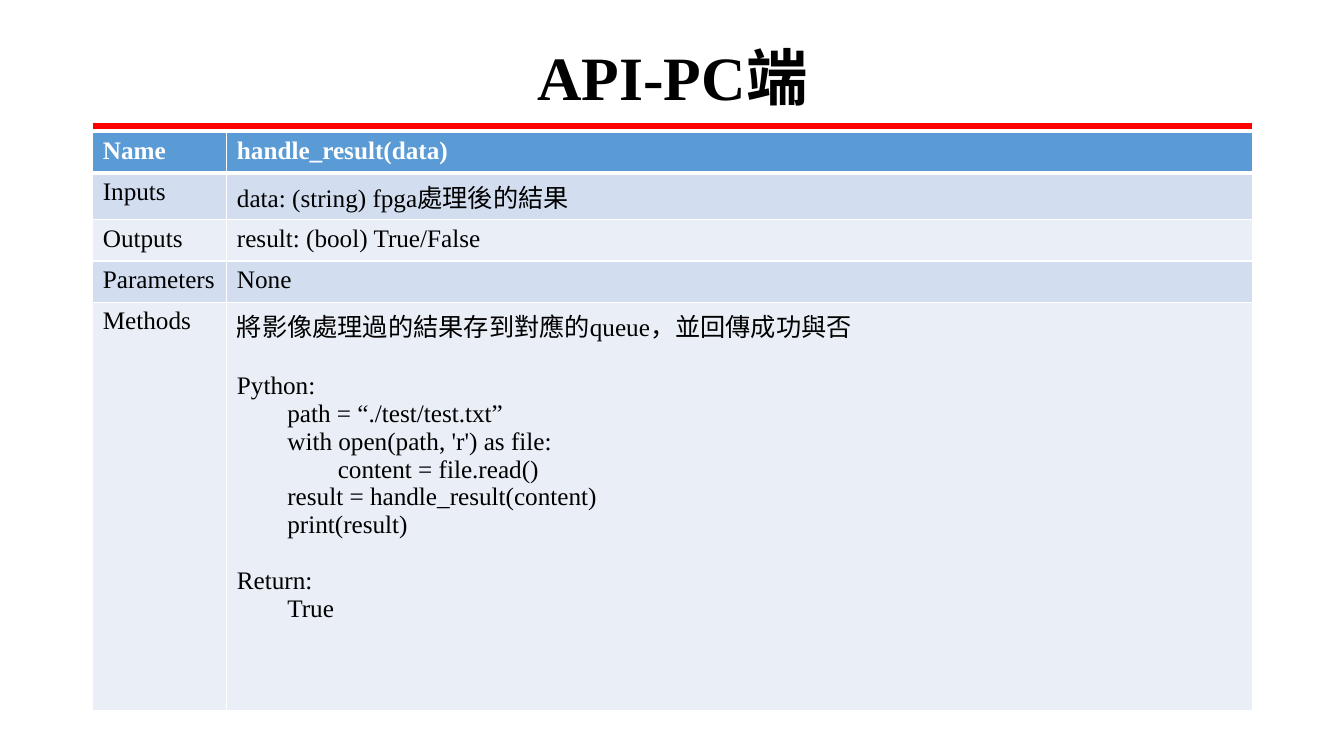
"""Build the API reference slide for handle_result on the PC side."""
from dataclasses import dataclass

from lxml import etree
from pptx import Presentation
from pptx.dml.color import RGBColor
from pptx.enum.shapes import MSO_CONNECTOR
from pptx.enum.text import MSO_ANCHOR, PP_ALIGN
from pptx.oxml.ns import qn
from pptx.util import Inches, Pt

STRAIGHT = MSO_CONNECTOR.STRAIGHT
MIDDLE = MSO_ANCHOR.MIDDLE
LEFT, CENTER = PP_ALIGN.LEFT, PP_ALIGN.CENTER

TITLE = "API-PC端"
METHODS = [
    (0, "將影像處理過的結果存到對應的queue，並回傳成功與否"),
    (0, "Python:"),
    (1, "path = “./test/test.txt”"),
    (1, "with open(path, 'r') as file:"),
    (2, "content = file.read()"),
    (1, "result = handle_result(content)"),
    (1, "print(result)"),
    (0, "Return:"),
    (1, "True"),
]
API_ROWS = [
    ("Name", [(0, "handle_result(data)")]),
    ("Inputs", [(0, "data: (string) fpga處理後的結果")]),
    ("Outputs", [(0, "result: (bool) True/False")]),
    ("Parameters", [(0, "None")]),
    ("Methods", METHODS),
]


@dataclass(frozen=True)
class Theme:
    font: str = "Times New Roman"
    title_size: float = 44
    body_size: float = 18
    section_gap: float = 20
    rule_width: float = 4.5
    grid_width: float = 1
    header_rule_width: float = 3
    ink: str = "000000"
    paper: str = "FFFFFF"
    rule: str = "FF0000"
    header: str = "5B9BD5"
    bands: tuple = ("EAEFF7", "D2DEEF")


THEME = Theme()
SLIDE_W, SLIDE_H = 13.33, 7.5
MARGIN, CONTENT_W = 0.92, 11.5
TITLE_TOP, TITLE_H = 0.4, 0.79
RULE_Y, TABLE_TOP = 1.25, 1.31
COLUMN_WIDTHS = (1.33, CONTENT_W - 1.33)
ROW_HEIGHTS = (0.41, 0.46, 0.41, 0.41, 4.05)
INDENT = 0.5


def write(frame, lines, *, size=THEME.body_size, color=THEME.ink, bold=False,
          align=LEFT, spacing=None):
    """Write (level, text) lines, opening a gap before each new section."""
    for index, (level, text) in enumerate(lines):
        paragraph = frame.add_paragraph() if index else frame.paragraphs[0]
        paragraph.alignment = align
        paragraph.level = level
        if spacing:
            paragraph.line_spacing = spacing
        if level:
            properties = paragraph._p.get_or_add_pPr()
            properties.set("marL", str(Inches(INDENT * level)))
            properties.set("indent", "0")
        elif index:
            paragraph.space_before = Pt(THEME.section_gap)
        run = paragraph.add_run()
        run.text = text
        run.font.name = THEME.font
        run.font.size = Pt(size)
        run.font.bold = bold
        run.font.color.rgb = RGBColor.from_string(color)


def set_borders(cell, widths):
    """Draw the borders of a cell, given as left, right, top, bottom widths."""
    properties = cell._tc.get_or_add_tcPr()
    for position, (side, width) in enumerate(zip("LRTB", widths)):
        border = etree.Element(qn(f"a:ln{side}"), w=str(Pt(width)))
        fill = etree.SubElement(border, qn("a:solidFill"))
        etree.SubElement(fill, qn("a:srgbClr"), val=THEME.paper)
        properties.insert(position, border)


def add_title(slide):
    """Add the title and the rule under it."""
    rule = slide.shapes.add_connector(
        STRAIGHT, Inches(MARGIN), Inches(RULE_Y),
        Inches(MARGIN + CONTENT_W), Inches(RULE_Y))
    rule.line.color.rgb = RGBColor.from_string(THEME.rule)
    rule.line.width = Pt(THEME.rule_width)
    etree.SubElement(rule._element.spPr, qn("a:effectLst"))
    title = slide.shapes.add_textbox(
        Inches(MARGIN), Inches(TITLE_TOP), Inches(CONTENT_W), Inches(TITLE_H))
    title.text_frame.word_wrap = True
    title.text_frame.vertical_anchor = MIDDLE
    write(title.text_frame, [(0, TITLE)], size=THEME.title_size, bold=True,
          align=CENTER, spacing=0.9)


def add_api_table(slide):
    """Add the table that describes the function."""
    table = slide.shapes.add_table(
        len(API_ROWS), len(COLUMN_WIDTHS), Inches(MARGIN), Inches(TABLE_TOP),
        Inches(CONTENT_W), Inches(sum(ROW_HEIGHTS))).table
    for column, width in zip(table.columns, COLUMN_WIDTHS):
        column.width = Inches(width)
    for row, height in zip(table.rows, ROW_HEIGHTS):
        row.height = Inches(height)
    grid = THEME.grid_width
    for index, (label, details) in enumerate(API_ROWS):
        is_header = index == 0
        top = THEME.header_rule_width if index == 1 else grid
        bottom = THEME.header_rule_width if is_header else grid
        band = THEME.header if is_header else THEME.bands[index % 2]
        for cell, lines in zip(table.rows[index].cells, ([(0, label)], details)):
            cell.fill.solid()
            cell.fill.fore_color.rgb = RGBColor.from_string(band)
            set_borders(cell, (grid, grid, top, bottom))
            write(cell.text_frame, lines, bold=is_header,
                  color=THEME.paper if is_header else THEME.ink)


def main():
    """Build and save the slide."""
    deck = Presentation()
    deck.slide_width, deck.slide_height = Inches(SLIDE_W), Inches(SLIDE_H)
    slide = deck.slides.add_slide(deck.slide_layouts[6])
    add_title(slide)
    add_api_table(slide)
    deck.save("out.pptx")


if __name__ == "__main__":
    main()
